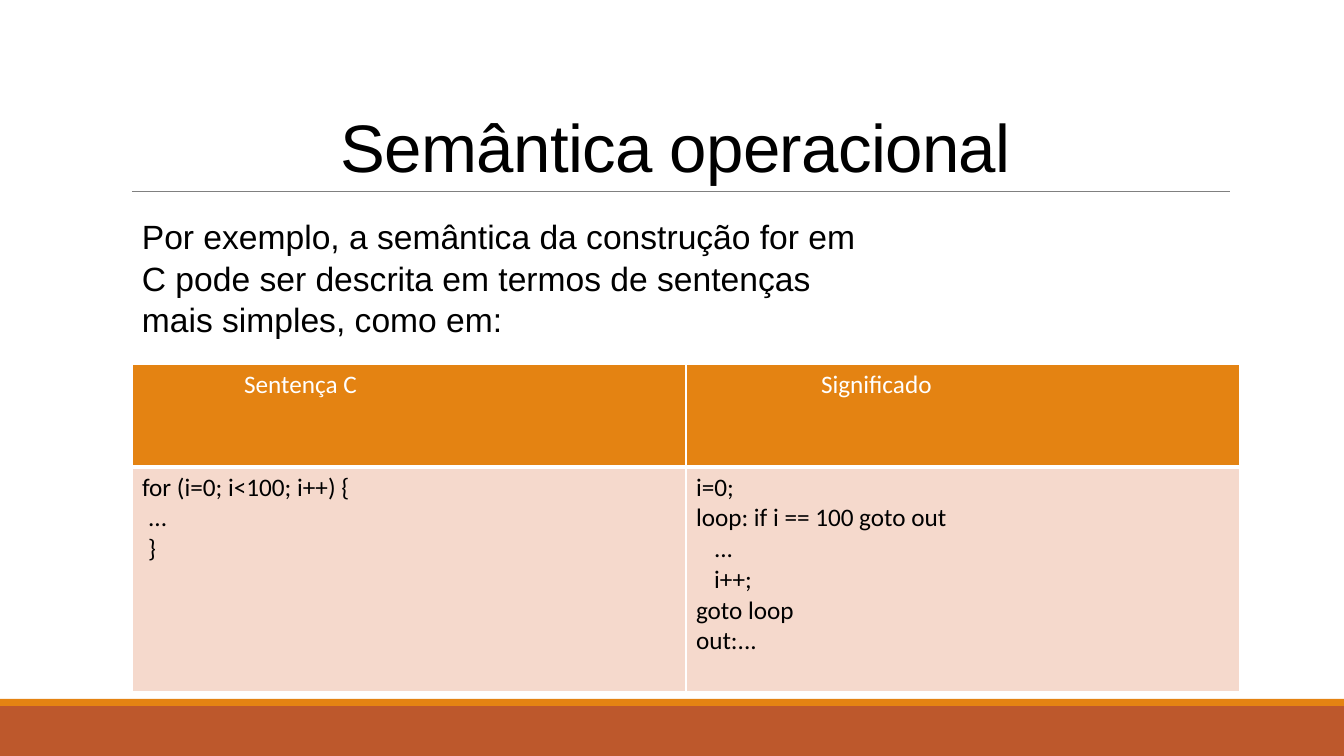
"""Build the slide on operational semantics with a C statement table."""
from lxml.etree import SubElement
from pptx import Presentation
from pptx.dml.color import RGBColor
from pptx.enum.shapes import MSO_CONNECTOR, MSO_SHAPE
from pptx.enum.text import MSO_ANCHOR, PP_ALIGN
from pptx.oxml.ns import qn
from pptx.util import Pt

SCALE = 914400 / 100.8
BLACK = RGBColor(0x00, 0x00, 0x00)
WHITE = RGBColor(0xFF, 0xFF, 0xFF)
GRAY = RGBColor(0x80, 0x80, 0x80)
ORANGE = RGBColor(0xE4, 0x83, 0x12)
RUST = RGBColor(0xBD, 0x58, 0x2C)
BLUSH = RGBColor(0xF5, 0xD9, 0xCC)


def px(*lengths):
    return [round(length * SCALE) for length in lengths]


def write(paragraph, text, size, name, color):
    run = paragraph.add_run()
    run.text = text
    for key, value in {"size": Pt(size), "name": name, "bold": False}.items():
        setattr(run.font, key, value)
    run.font.color.rgb = color
    return run


prs = Presentation()
prs.slide_width, prs.slide_height = px(1344, 756)
slide = prs.slides.add_slide(prs.slide_layouts[6])
shapes = slide.shapes

for top, height, color in [(706, 50, RUST), (699, 7, ORANGE)]:
    band = shapes.add_shape(MSO_SHAPE.RECTANGLE, *px(0, top, 1344, height))
    band.shadow.inherit = False
    band.fill.solid()
    band.fill.fore_color.rgb = color
    band.line.fill.background()

title_rule = shapes.add_connector(MSO_CONNECTOR.STRAIGHT, *px(132, 191, 1230, 191))
title_rule.line.color.rgb = GRAY
title_rule.line.width = Pt(0.5)
SubElement(title_rule._element.spPr, qn("a:effectLst"))

texts = [
    ("Semântica operacional", (121, 31, 1109, 160), 48, -50, MSO_ANCHOR.BOTTOM,
     {"alignment": PP_ALIGN.CENTER, "line_spacing": 0.85}),
    ("Por exemplo, a semântica da construção for em C pode ser descrita "
     "em termos de sentenças mais simples, como em:",
     (132, 209, 748, 132), 24, 0, MSO_ANCHOR.TOP,
     {"alignment": PP_ALIGN.LEFT, "line_spacing": 1.04}),
]
for text, place, size, tracking, anchor, paragraph_format in texts:
    frame = shapes.add_textbox(*px(*place)).text_frame
    frame.word_wrap = True
    frame.vertical_anchor = anchor
    paragraph = frame.paragraphs[0]
    for key, value in paragraph_format.items():
        setattr(paragraph, key, value)
    run = write(paragraph, text, size, "Arial", BLACK)
    run.font._element.set("spc", str(tracking))

rows = [
    (103, ORANGE, WHITE, {"lnL": 1, "lnR": 1, "lnT": 1, "lnB": 3},
     [[("Sentença C", 102)], [("Significado", 125)]]),
    (225, BLUSH, BLACK, {"lnL": 1, "lnR": 1, "lnT": 3, "lnB": 1},
     [[("for (i=0; i<100; i++) {", 0), ("...", 6), ("}", 6)],
      [("i=0;", 0), ("loop: if i == 100 goto out", 0), ("...", 18),
       ("i++;", 18), ("goto loop", 0), ("out:...", 0)]]),
]
table = shapes.add_table(2, 2, *px(132, 364, 1108, 328)).table
table.horz_banding = False
for column in table.columns:
    column.width = px(554)[0]

for row_index, (height, fill, color, borders, cells) in enumerate(rows):
    table.rows[row_index].height = px(height)[0]
    for column_index, lines in enumerate(cells):
        cell = table.cell(row_index, column_index)
        properties = cell._tc.get_or_add_tcPr()
        for side, width in borders.items():
            border = SubElement(properties, qn(f"a:{side}"), w=str(Pt(width)))
            border_fill = SubElement(border, qn("a:solidFill"))
            SubElement(border_fill, qn("a:srgbClr"), val=str(WHITE))
        cell.fill.solid()
        cell.fill.fore_color.rgb = fill
        frame = cell.text_frame
        for line_index, (text, indent) in enumerate(lines):
            paragraph = frame.add_paragraph() if line_index else frame.paragraphs[0]
            paragraph._p.get_or_add_pPr().set("marL", str(px(indent)[0]))
            write(paragraph, text, 18, "Calibri", color)

prs.save("out.pptx")
